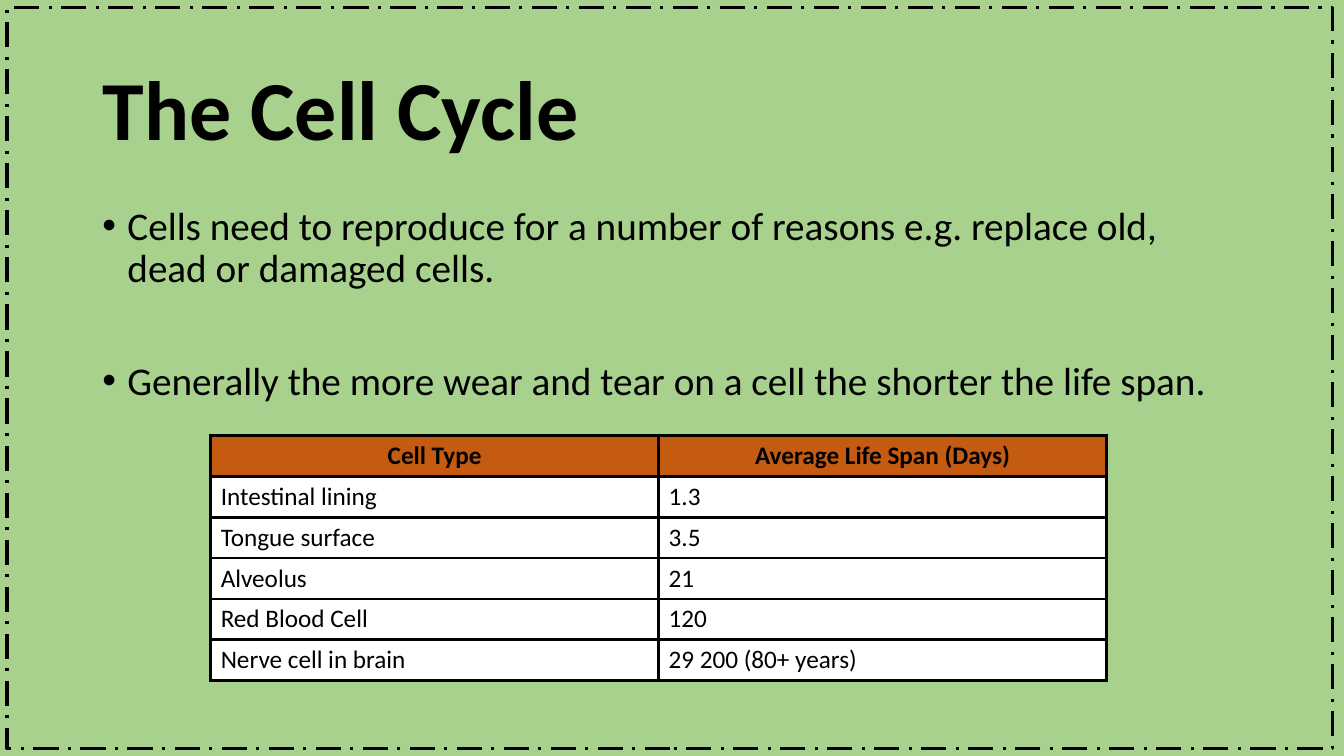
from lxml.etree import SubElement
from pptx import Presentation
from pptx.dml.color import RGBColor
from pptx.enum.dml import MSO_LINE
from pptx.enum.shapes import MSO_SHAPE
from pptx.enum.text import MSO_ANCHOR, MSO_AUTO_SIZE, PP_ALIGN
from pptx.oxml.ns import qn
from pptx.util import Pt

COLORS = {"background": "A9D18E", "ink": "000000", "header": "C55A11", "cell": "FFFFFF"}


def rgb(name):
    return RGBColor.from_string(COLORS[name])


def style(p, size, bold=False):
    for r in p.runs:
        r.font.name = "Calibri"
        r.font.size = Pt(size)
        r.font.bold = bold
        r.font.color.rgb = rgb("ink")


prs = Presentation()
prs.slide_width, prs.slide_height = Pt(960), Pt(540)
s = prs.slides.add_slide(prs.slide_layouts[5])
s.background.fill.solid()
s.background.fill.fore_color.rgb = rgb("background")

title = s.shapes.title
title.left, title.top, title.width, title.height = Pt(66), Pt(28.75), Pt(828), Pt(104.4)
tf = title.text_frame
tf.text = "The Cell Cycle"
tf.word_wrap = True
tf.auto_size = MSO_AUTO_SIZE.NONE
tf.vertical_anchor = MSO_ANCHOR.MIDDLE
p = tf.paragraphs[0]
p.alignment = PP_ALIGN.LEFT
p.line_spacing = 0.9
style(p, 60, True)

body = s.shapes.add_textbox(Pt(66), Pt(143.75), Pt(828), Pt(342.6))
tf = body.text_frame
tf.word_wrap = True
points = [
    ("Cells need to reproduce for a number of reasons e.g. replace old, dead or damaged cells.", 0),
    ("Generally the more wear and tear on a cell the shorter the life span.", 50.5),
]
for i, (text, gap) in enumerate(points):
    p = tf.add_paragraph() if i else tf.paragraphs[0]
    p.text = text
    p.line_spacing = 0.9
    p.space_before = Pt(gap)
    pPr = p._p.get_or_add_pPr()
    pPr.set("marL", str(Pt(18)))
    pPr.set("indent", str(Pt(-18)))
    SubElement(pPr, qn("a:buFont"), typeface="Arial")
    SubElement(pPr, qn("a:buChar"), char="•")
    style(p, 28)

border = s.shapes.add_shape(MSO_SHAPE.RECTANGLE, Pt(5), Pt(5.5), Pt(947), Pt(529))
border.shadow.inherit = False
border.fill.background()
border.line.color.rgb = rgb("ink")
border.line.width = Pt(2.25)
border.line.dash_style = MSO_LINE.LONG_DASH_DOT

rows = [
    ("Cell Type", "Average Life Span (Days)"),
    ("Intestinal lining", "1.3"),
    ("Tongue surface", "3.5"),
    ("Alveolus", "21"),
    ("Red Blood Cell", "120"),
    ("Nerve cell in brain", "29 200 (80+ years)"),
]
table = s.shapes.add_table(len(rows), 2, Pt(150.5), Pt(311), Pt(640), Pt(175.2)).table
for i, row in enumerate(rows):
    table.rows[i].height = Pt(29.2)
    for j, text in enumerate(row):
        cell = table.cell(i, j)
        cell.text = text
        tcPr = cell._tc.get_or_add_tcPr()
        for side in ("lnL", "lnR", "lnT", "lnB"):
            ln = SubElement(tcPr, qn(f"a:{side}"), w=str(Pt(2.25)))
            fill = SubElement(ln, qn("a:solidFill"))
            SubElement(fill, qn("a:srgbClr"), val=COLORS["ink"])
        cell.fill.solid()
        cell.fill.fore_color.rgb = rgb("cell" if i else "header")
        p = cell.text_frame.paragraphs[0]
        p.alignment = PP_ALIGN.LEFT if i else PP_ALIGN.CENTER
        style(p, 18, i == 0)

prs.save("out.pptx")
